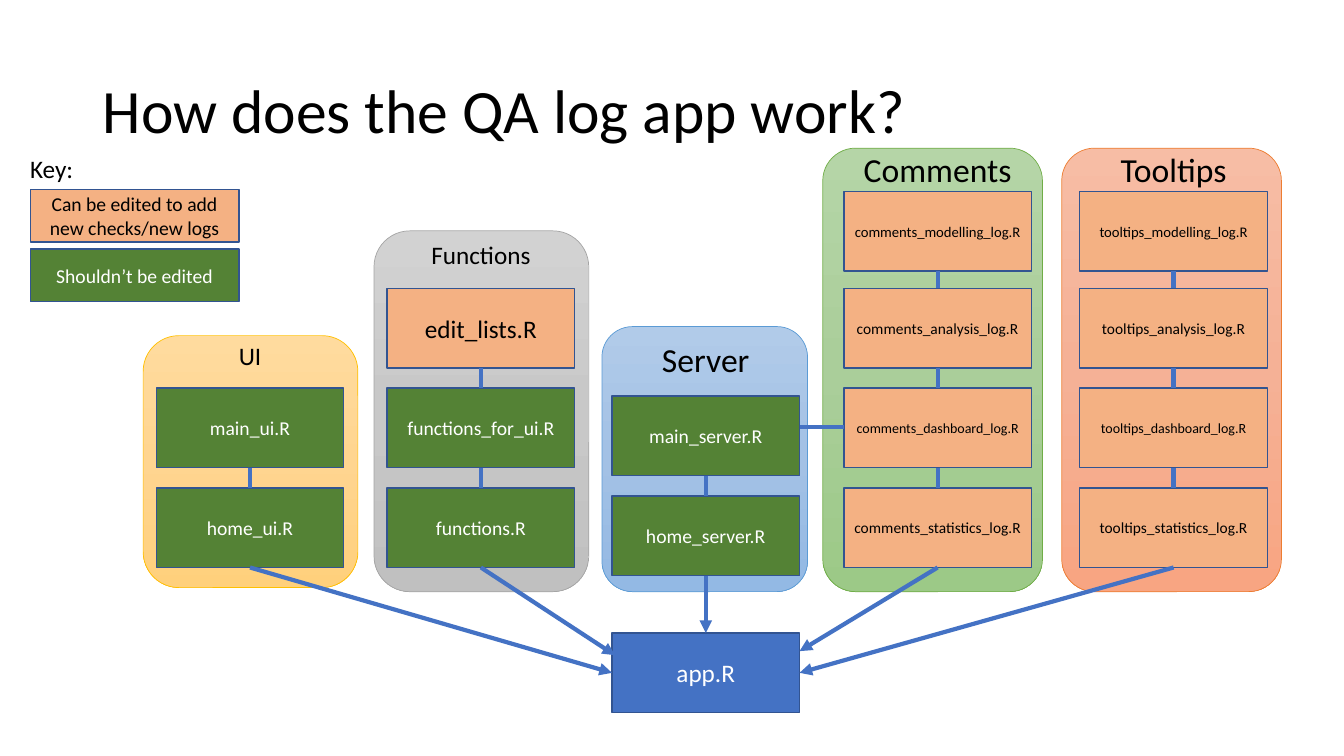
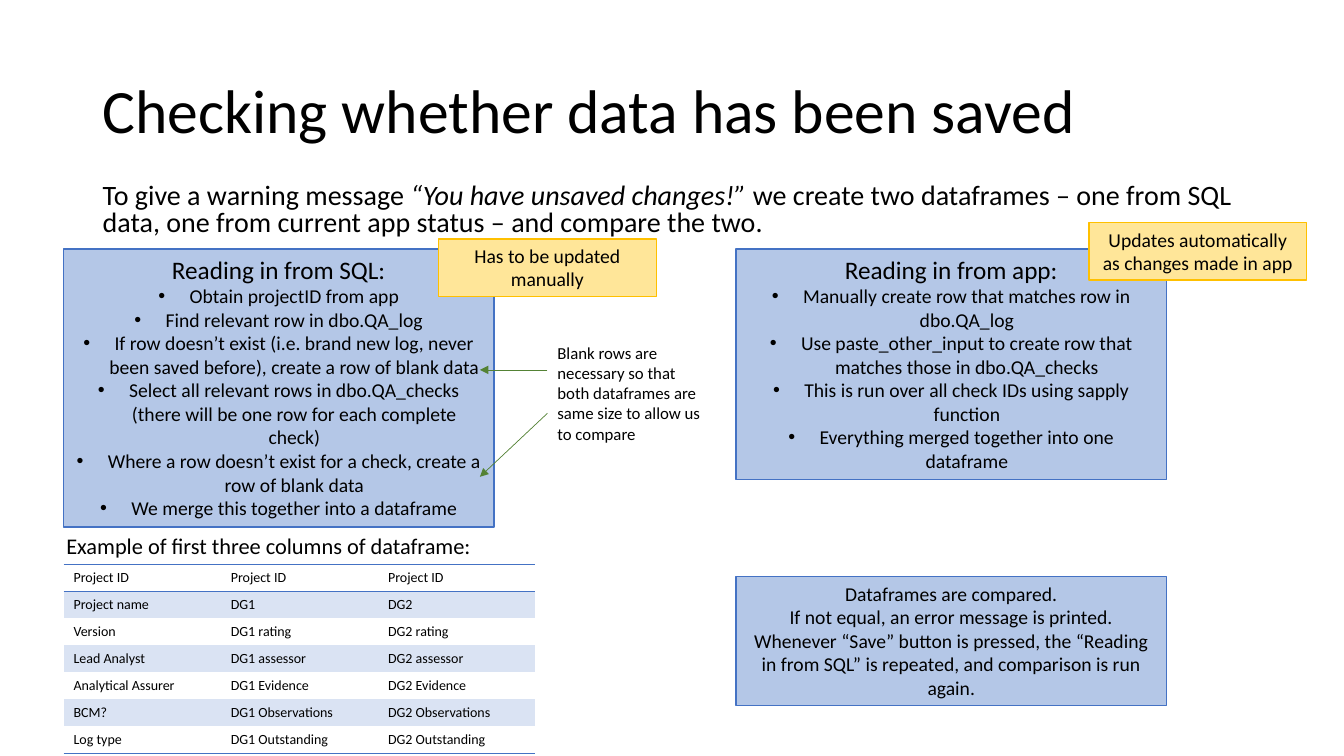
from copy import deepcopy
from dataclasses import dataclass

from pptx import Presentation
from pptx import util as u
from pptx.dml.color import RGBColor
from pptx.enum import shapes, text
from pptx.oxml import parse_xml
from pptx.oxml.ns import nsdecls, qn
from pptx.oxml.xmlchemy import OxmlElement
from pptx.shapes.autoshape import Shape
from pptx.shapes.connector import Connector
from pptx.slide import Slide
from pptx.table import _Cell
from pptx.text.text import TextFrame

FONT = "Calibri"
BLACK = RGBColor(0x00, 0x00, 0x00)
WHITE = RGBColor(0xFF, 0xFF, 0xFF)
BLUE = RGBColor(0x44, 0x72, 0xC4)
DARK_BLUE = RGBColor(0x32, 0x54, 0x91)
PALE_BLUE = RGBColor(0xB4, 0xC7, 0xE7)
BAND_BLUE = RGBColor(0xDA, 0xE3, 0xF3)
GREEN = RGBColor(0x54, 0x82, 0x35)
ORANGE = RGBColor(0xF4, 0xB1, 0x83)
PALE_YELLOW = RGBColor(0xFF, 0xE6, 0x99)
GOLD = RGBColor(0xFF, 0xC0, 0x00)

LEFT, CENTER = text.PP_ALIGN.LEFT, text.PP_ALIGN.CENTER
TOP, MIDDLE = text.MSO_ANCHOR.TOP, text.MSO_ANCHOR.MIDDLE
SIDE_TOP, SIDE_LEFT, SIDE_BOTTOM, SIDE_RIGHT = range(4)

FILE_WIDTH, FILE_HEIGHT = 1.86, 0.79
FILE_TOPS = (1.9, 2.86, 3.85, 4.84)
NO_TABLE_STYLE = "{2D5ABB26-0587-4C30-8999-92F81FD0307C}"


@dataclass(frozen=True)
class Area:
    left: float
    top: float
    width: float
    height: float

    def lengths(self) -> tuple[u.Inches, ...]:
        return tuple(u.Inches(n) for n in (self.left, self.top, self.width, self.height))


@dataclass(frozen=True)
class Line:
    text: str
    size: float
    bullet: bool = False


@dataclass(frozen=True)
class ScriptFile:
    name: str
    size: float = 14
    editable: bool = False


@dataclass(frozen=True)
class Group:
    label: Line
    label_top: float
    panel: Area
    gradient: tuple[str, str, str]
    outline: str
    files_left: float
    files: tuple[ScriptFile, ...]
    rounding: float = 0.149
    files_shift: float = 0


def log_files(prefix: str) -> tuple[ScriptFile, ...]:
    sizes = {"modelling": 10.5, "analysis": 11, "dashboard": 10, "statistics": 11}
    return tuple(ScriptFile(f"{prefix}_{kind}_log.R", size, True) for kind, size in sizes.items())


GROUPS = (
    Group(Line("UI", 18), 3.33, Area(1.42, 3.33, 2.13, 2.5), ("FFDB9E", "FFD590", "FFD07C"),
          "FFC000", 1.55, (ScriptFile("main_ui.R"), ScriptFile("home_ui.R")), 0.167),
    Group(Line("Functions", 18), 2.33, Area(3.71, 2.29, 2.13, 3.58), ("D2D2D2", "C8C8C8", "C0C0C0"),
          "A5A5A5", 3.84, (ScriptFile("edit_lists.R", 18, True), ScriptFile("functions_for_ui.R"),
                           ScriptFile("functions.R")), 0.167),
    Group(Line("Server", 24), 3.31, Area(5.97, 3.24, 2.04, 2.63), ("B1CBE9", "A3C1E5", "93B9E4"),
          "5B9BD5", 6.07, (ScriptFile("main_server.R"), ScriptFile("home_server.R")),
          files_shift=0.08),
    Group(Line("Comments", 24), 1.43, Area(8.16, 1.47, 2.18, 4.4), ("B5D5A7", "AACE9A", "9CC987"),
          "70AD47", 8.37, log_files("comments")),
    Group(Line("Tooltips", 24), 1.43, Area(10.53, 1.47, 2.18, 4.4), ("F7BDA5", "F5B196", "F8A582"),
          "ED7D31", 10.71, log_files("tooltips")),
)

SQL_STEPS = (
    "Obtain projectID from app",
    "Find relevant row in dbo.QA_log",
    "If row doesn’t exist (i.e. brand new log, never been saved before), create a row of blank data",
    "Select all relevant rows in dbo.QA_checks (there will be one row for each complete check)",
    "Where a row doesn’t exist for a check, create a row of blank data",
    "We merge this together into a dataframe",
)
APP_STEPS = (
    "Manually create row that matches row in dbo.QA_log",
    "Use paste_other_input to create row that matches those in dbo.QA_checks",
    "This is run over all check IDs using sapply function",
    "Everything merged together into one dataframe",
)
COMPARISON = (
    "Dataframes are compared.",
    "If not equal, an error message is printed.",
    "Whenever “Save” button is pressed, the “Reading in from SQL” is repeated, "
    "and comparison is run again.",
)
COLUMNS = (
    ("Project ID", "Project name", "Version", "Lead Analyst", "Analytical Assurer", "BCM?", "Log type"),
    *(("Project ID", check, *(f"{check} {field}" for field in
       ("rating", "assessor", "Evidence", "Observations", "Outstanding"))) for check in ("DG1", "DG2")),
)


def write(frame: TextFrame, lines: list[Line], color: RGBColor = BLACK,
          align: text.PP_ALIGN = LEFT, anchor: text.MSO_ANCHOR = TOP) -> None:
    frame.word_wrap = True
    frame.vertical_anchor = anchor
    for index, line in enumerate(lines):
        para = frame.add_paragraph() if index else frame.paragraphs[0]
        para.text = line.text
        para.alignment = align
        for span in para.runs:
            span.font.name = FONT
            span.font.size = u.Pt(line.size)
            span.font.color.rgb = color
        if line.bullet:
            properties = para._p.get_or_add_pPr()
            indent = u.Inches(0.31)
            properties.set("marL", str(indent))
            properties.set("indent", str(-indent))
            properties.append(parse_xml(f'<a:buFont {nsdecls("a")} typeface="Arial"/>'))
            properties.append(parse_xml(f'<a:buChar {nsdecls("a")} char="•"/>'))


def add_text(page: Slide, area: Area, lines: list[Line], align: text.PP_ALIGN = LEFT,
             anchor: text.MSO_ANCHOR = TOP, wrap: bool = True) -> Shape:
    box = page.shapes.add_textbox(*area.lengths())
    write(box.text_frame, lines, align=align, anchor=anchor)
    box.text_frame.word_wrap = wrap
    return box


def add_title(page: Slide, title: str) -> None:
    box = add_text(page, Area(0.92, 0.4, 11.5, 1.45), [Line(title, 44)], anchor=MIDDLE)
    box.text_frame.paragraphs[0].line_spacing = 0.9


def add_box(page: Slide, area: Area, lines: list[Line], fill: RGBColor,
            outline: RGBColor = DARK_BLUE, color: RGBColor = BLACK,
            anchor: text.MSO_ANCHOR = MIDDLE) -> Shape:
    box = page.shapes.add_shape(shapes.MSO_SHAPE.RECTANGLE, *area.lengths())
    box.shadow.inherit = False
    box.fill.solid()
    box.fill.fore_color.rgb = fill
    box.line.color.rgb = outline
    box.line.width = u.Pt(1)
    write(box.text_frame, lines, color, CENTER, anchor)
    return box


def add_panel(page: Slide, group: Group) -> None:
    panel = page.shapes.add_shape(shapes.MSO_SHAPE.ROUNDED_RECTANGLE, *group.panel.lengths())
    panel.adjustments[0] = group.rounding
    panel.shadow.inherit = False
    panel.fill.gradient()
    panel.fill.gradient_angle = 270
    stop_list = panel.element.spPr.find(".//" + qn("a:gsLst"))
    stop_list.insert(1, deepcopy(stop_list[0]))
    for stop, position, color in zip(panel.fill.gradient_stops, (0, 0.5, 1), group.gradient):
        stop.position = position
        stop.color.rgb = RGBColor.from_string(color)
    panel.line.color.rgb = RGBColor.from_string(group.outline)
    panel.line.width = u.Pt(0.5)


def add_line(page: Slide, start: tuple[float, float] = (0, 0), end: tuple[float, float] = (0, 0),
             color: RGBColor = BLUE, width: float = 3, arrow: bool = True) -> Connector:
    line = page.shapes.add_connector(shapes.MSO_CONNECTOR.STRAIGHT,
                                     *(u.Inches(n) for n in (*start, *end)))
    line.line.color.rgb = color
    line.line.width = u.Pt(width)
    properties = line.element.spPr
    if arrow:
        properties.find(qn("a:ln")).append(parse_xml(f'<a:tailEnd {nsdecls("a")} type="triangle"/>'))
    properties.append(OxmlElement("a:effectLst"))
    return line


def add_group(page: Slide, group: Group) -> Shape:
    add_panel(page, group)
    add_text(page, Area(group.files_left, group.label_top, FILE_WIDTH, 0.5), [group.label], CENTER)
    boxes = []
    for file, top in zip(group.files, FILE_TOPS[-len(group.files):]):
        area = Area(group.files_left, top + group.files_shift, FILE_WIDTH, FILE_HEIGHT)
        fill, color = (ORANGE, BLACK) if file.editable else (GREEN, WHITE)
        boxes.append(add_box(page, area, [Line(file.name, file.size)], fill, color=color))
    for upper, lower in zip(boxes, boxes[1:]):
        link = add_line(page, arrow=False)
        link.begin_connect(upper, SIDE_BOTTOM)
        link.end_connect(lower, SIDE_TOP)
    return boxes[-1]


def build_structure(page: Slide) -> None:
    add_title(page, "How does the QA log app work?")
    add_text(page, Area(0.2, 1.47, 0.64, 0.71), [Line("Key:", 18)], wrap=False)
    key = (("Can be edited to add new checks/new logs", ORANGE, BLACK),
           ("Shouldn’t be edited", GREEN, WHITE))
    for index, (meaning, fill, color) in enumerate(key):
        add_box(page, Area(0.3, 1.88 + 0.59 * index, 2.07, 0.52), [Line(meaning, 14)], fill, color=color)

    last_files = [add_group(page, group) for group in GROUPS]
    add_line(page, (8.37, 4.24), (7.93, 4.24), arrow=False)
    app = add_box(page, Area(6.07, 6.28, FILE_WIDTH, FILE_HEIGHT), [Line("app.R", 18)], BLUE, color=WHITE)
    targets = (SIDE_LEFT, (6.1, 6.5), SIDE_TOP, (7.93, 6.46), SIDE_RIGHT)
    for file, target in zip(last_files, targets):
        joined = isinstance(target, int)
        arrow = add_line(page, end=(0, 0) if joined else target)
        arrow.begin_connect(file, SIDE_BOTTOM)
        if joined:
            arrow.end_connect(app, target)


def add_border(cell: _Cell, side: str) -> None:
    cell._tc.get_or_add_tcPr().insert(0, parse_xml(
        f'<a:{side} {nsdecls("a")} w="{u.Pt(1)}"><a:solidFill><a:srgbClr val="{BLUE}"/>'
        f'</a:solidFill></a:{side}>'))


def add_columns_table(page: Slide) -> None:
    count = len(COLUMNS[0])
    table = page.shapes.add_table(count, len(COLUMNS), *Area(0.63, 5.6, 4.68, 1.87).lengths()).table
    table.first_row = table.horz_banding = False
    table._tbl.tblPr.find(qn("a:tableStyleId")).text = NO_TABLE_STYLE
    for column, values in enumerate(COLUMNS):
        for row, value in enumerate(values):
            cell = table.cell(row, column)
            write(cell.text_frame, [Line(value, 10)])
            if row % 2:
                cell.fill.solid()
                cell.fill.fore_color.rgb = BAND_BLUE
            else:
                cell.fill.background()
            if row in (0, count - 1):
                add_border(cell, "lnB")
            if row == 0:
                add_border(cell, "lnT")


def build_saving(page: Slide) -> None:
    add_title(page, "Checking whether data has been saved")
    intro = add_text(page, Area(0.92, 1.78, 11.5, 0.7), [Line("To give a warning message ", 20)])
    para = intro.text_frame.paragraphs[0]
    para.line_spacing = 0.8
    para.space_before = u.Pt(10)
    for words, italic in (("“You have unsaved changes!” ", True),
                          ("we create two dataframes – one from SQL data, one from current "
                           "app status – and compare the two.", False)):
        span = para.add_run()
        span.text = words
        span.font.name = FONT
        span.font.size = u.Pt(20)
        span.font.italic = italic
        span.font.color.rgb = BLACK

    readings = ((Area(0.63, 2.47, 4.27, 2.76), "Reading in from SQL:", SQL_STEPS),
                (Area(7.3, 2.47, 4.27, 2.29), "Reading in from app:", APP_STEPS))
    for area, heading, steps in readings:
        lines = [Line(heading, 18), *(Line(step, 14, True) for step in steps)]
        add_box(page, area, lines, PALE_BLUE, BLUE, anchor=TOP)
    add_box(page, Area(7.3, 5.72, 4.27, 1.28), [Line(words, 14) for words in COMPARISON],
            PALE_BLUE, BLUE, anchor=TOP)

    add_columns_table(page)
    add_text(page, Area(0.56, 5.23, 4.26, 0.37),
             [Line("Example of first three columns of dataframe:", 16)], wrap=False)
    add_text(page, Area(5.43, 3.35, 1.7, 1.11),
             [Line("Blank rows are necessary so that both dataframes are same size "
                   "to allow us to compare", 12)])
    for start, end in ((3.67, 3.67), (4.1, 4.73)):
        add_line(page, (5.43, start), (4.76, end), GREEN, 0.5)
    for left, top, note in ((10.8, 2.21, "Updates automatically as changes made in app"),
                            (4.35, 2.37, "Has to be updated manually")):
        add_box(page, Area(left, top, 2.16, 0.57), [Line(note, 14)], PALE_YELLOW, GOLD, anchor=TOP)


def main() -> None:
    deck = Presentation()
    deck.slide_width, deck.slide_height = u.Inches(13.33), u.Inches(7.5)
    for build in (build_structure, build_saving):
        build(deck.slides.add_slide(deck.slide_layouts[6]))
    deck.save("out.pptx")


if __name__ == "__main__":
    main()
